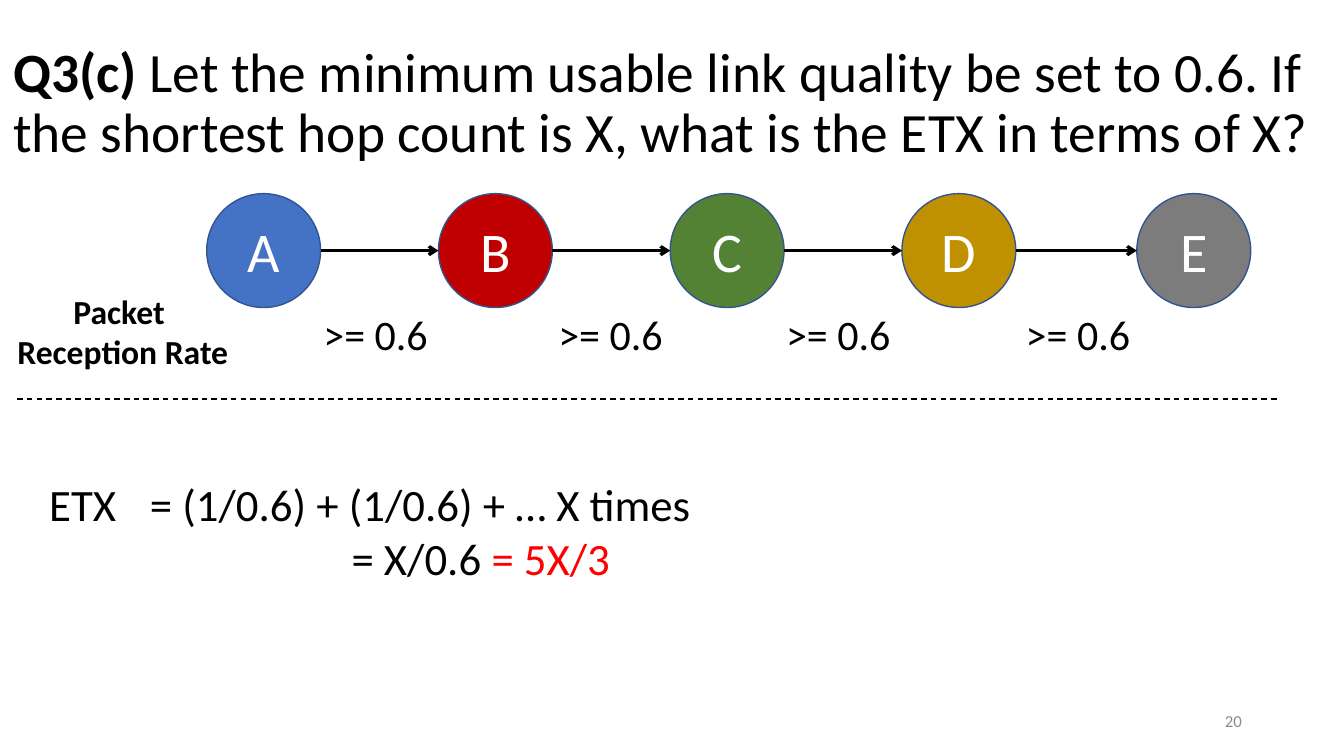
"""Build the slide that derives ETX from the hop count and link quality."""
import dataclasses

import lxml.etree
import pptx
import pptx.dml.color
import pptx.enum.dml
import pptx.enum.shapes
import pptx.enum.text
import pptx.oxml.ns
import pptx.util

Cm = pptx.util.Cm
Align = pptx.enum.text.PP_ALIGN
Anchor = pptx.enum.text.MSO_ANCHOR


@dataclasses.dataclass(frozen=True)
class Theme:
    font: str = "Calibri"
    black: str = "000000"
    white: str = "FFFFFF"
    red: str = "FF0000"
    grey: str = "8C8C8C"
    outline: str = "325491"
    title_size: float = 39.6
    node_size: float = 40
    formula_size: float = 32
    rate_size: float = 30
    caption_size: float = 24
    number_size: float = 12


THEME = Theme()

TITLE = [[
    ("Q3(c) ", {"bold": True}),
    ("Let the minimum usable link quality be set to 0.6. "
     "If the shortest hop count is X, what is the ETX in terms of X?", {}),
]]
NODES = [
    ("A", 5.21, "4472C4"),
    ("B", 11.05, "C00000"),
    ("C", 16.89, "548235"),
    ("D", 22.73, "BF9000"),
    ("E", 28.65, "7C7C7C"),
]
RATES = [(">= 0.6", left) for left in (7.9, 13.82, 19.56, 25.6)]
CAPTION = [[("Packet ", {"bold": True})], [("Reception Rate", {"bold": True})]]
FORMULA = [
    [("ETX \t= (1/0.6) + (1/0.6) + … X times", {})],
    [("= X/0.6", {}), (" = 5X/3", {"color": THEME.red})],
]
PAGE_NUMBER = "20"

NODE_TOP, NODE_DIAMETER = 4.88, 2.87
RATE_BOX = (7.65, 3.18, 1.55)
RESULT_INDENT = 7.62


def rgb(code):
    return pptx.dml.color.RGBColor.from_string(code)


def apply(target, values):
    for name, value in values.items():
        setattr(target, name, value)


def write(shape, lines, size, color=THEME.black, para_format=None, **frame_format):
    """Fill a shape with paragraphs made of (text, format) spans."""
    frame = shape.text_frame
    apply(frame, {"auto_size": pptx.enum.text.MSO_AUTO_SIZE.NONE,
                  "word_wrap": True, **frame_format})
    for index, spans in enumerate(lines):
        para = frame.paragraphs[0] if index == 0 else frame.add_paragraph()
        apply(para, {"alignment": Align.LEFT, **(para_format or {})})
        for text, span_format in spans:
            values = dict(span_format)
            span = para.add_run()
            span.text = text
            span.font.color.rgb = rgb(values.pop("color", color))
            apply(span.font, {"name": THEME.font, "size": pptx.util.Pt(size),
                              "bold": False, **values})


def add_text(page, place, lines, size, **formats):
    box = page.shapes.add_textbox(*map(Cm, place))
    write(box, lines, size, **formats)
    return box


def add_node(page, name, left, color):
    node = page.shapes.add_shape(
        pptx.enum.shapes.MSO_SHAPE.OVAL,
        *map(Cm, (left, NODE_TOP, NODE_DIAMETER, NODE_DIAMETER)))
    node.shadow.inherit = False
    node.fill.solid()
    node.fill.fore_color.rgb = rgb(color)
    node.line.color.rgb = rgb(THEME.outline)
    node.line.width = pptx.util.Pt(1)
    write(node, [[(name, {})]], THEME.node_size, color=THEME.white,
          para_format={"alignment": Align.CENTER}, vertical_anchor=Anchor.MIDDLE)


def add_line(page, start, end, y, width, dash=None, arrow=False):
    line = page.shapes.add_connector(
        pptx.enum.shapes.MSO_CONNECTOR.STRAIGHT, *map(Cm, (start, y, end, y)))
    line.line.color.rgb = rgb(THEME.black)
    apply(line.line, {"width": pptx.util.Pt(width), "dash_style": dash})
    properties = line._element.spPr
    if arrow:
        lxml.etree.SubElement(line.line._get_or_add_ln(),
                              pptx.oxml.ns.qn("a:tailEnd"), type="arrow")
    lxml.etree.SubElement(properties, pptx.oxml.ns.qn("a:effectLst"))


def main():
    deck = pptx.Presentation()
    apply(deck, {"slide_width": Cm(33.87), "slide_height": Cm(19.05)})
    page = deck.slides.add_slide(deck.slide_layouts.get_by_name("Title Only"))

    title = page.shapes.title
    apply(title, {"left": Cm(0.08), "top": Cm(0),
                  "width": Cm(33.78), "height": Cm(5.26)})
    write(title, TITLE, THEME.title_size, para_format={"line_spacing": 0.9},
          vertical_anchor=Anchor.MIDDLE)

    add_text(page, (23.93, 17.65, 7.62, 1.02), [[(PAGE_NUMBER, {})]],
             THEME.number_size, color=THEME.grey,
             para_format={"alignment": Align.RIGHT}, vertical_anchor=Anchor.MIDDLE)

    for node in NODES:
        add_node(page, *node)
    for (_, left, _), (_, next_left, _) in zip(NODES, NODES[1:]):
        add_line(page, left + NODE_DIAMETER, next_left,
                 NODE_TOP + NODE_DIAMETER / 2, 2.25, arrow=True)
    add_line(page, 0.43, 32.26, 10.05, 1, dash=pptx.enum.dml.MSO_LINE.DASH)

    add_text(page, (0.15, 7.21, 5.89, 2.31), CAPTION, THEME.caption_size,
             para_format={"alignment": Align.CENTER}, word_wrap=False)
    top, width, height = RATE_BOX
    for rate, left in RATES:
        add_text(page, (left, top, width, height), [[(rate, {})]],
                 THEME.rate_size, word_wrap=False)

    formula = add_text(page, (0.99, 11.89, 24.94, 3), FORMULA, THEME.formula_size)
    result = formula.text_frame.paragraphs[1]
    result._p.get_or_add_pPr().set("marL", str(Cm(RESULT_INDENT)))

    deck.save("out.pptx")


if __name__ == "__main__":
    main()
